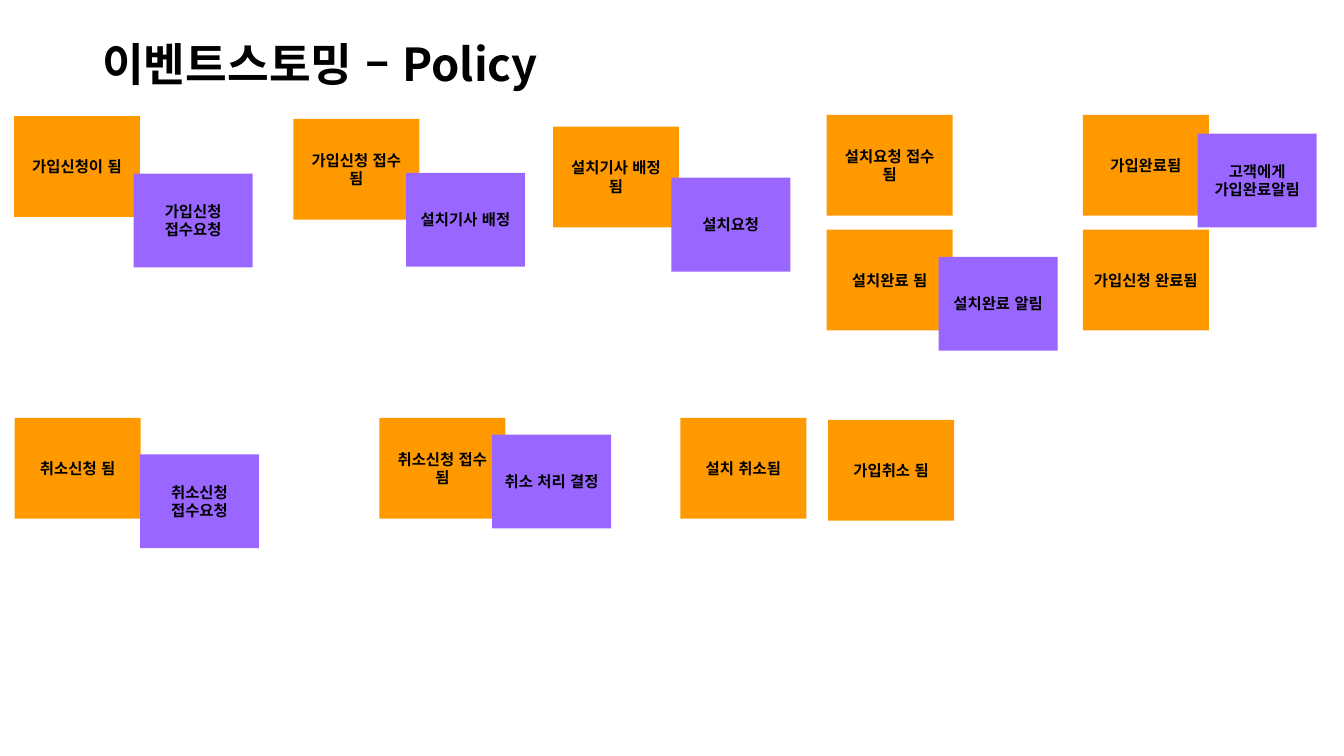
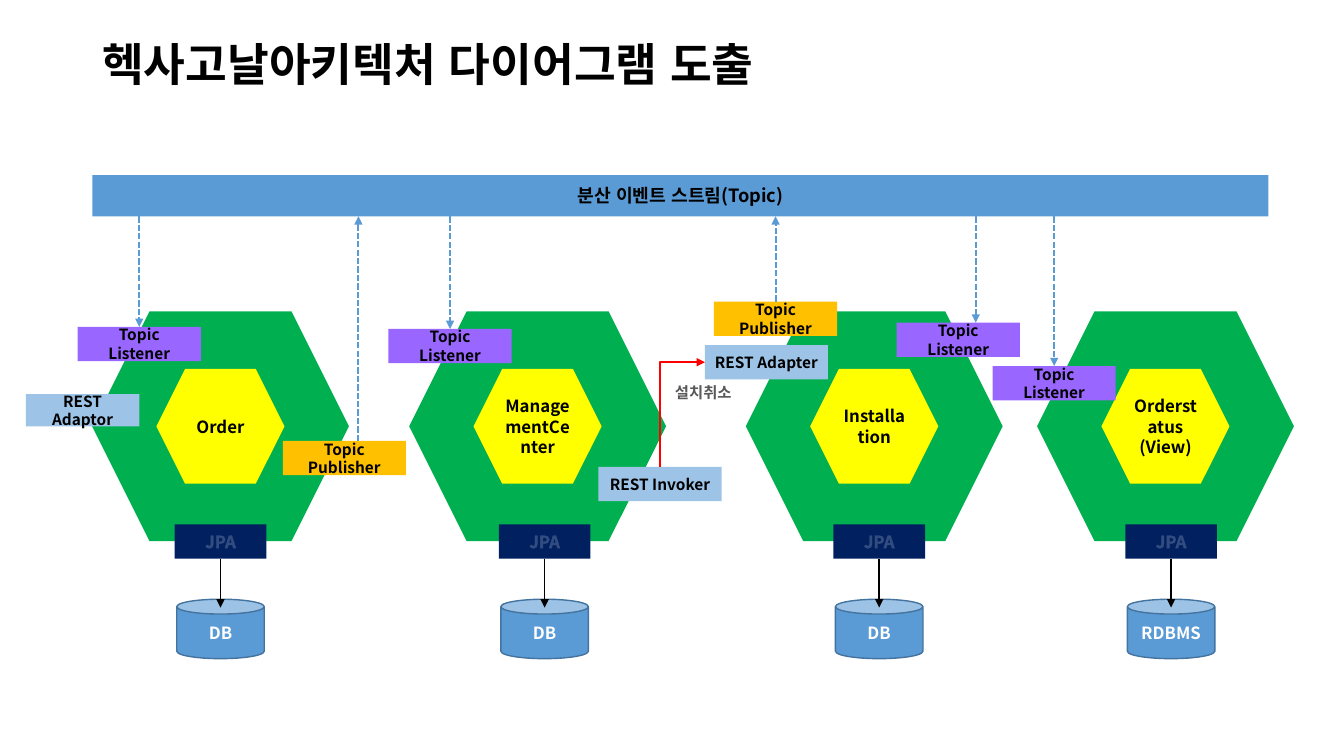
import dataclasses

import lxml.etree
import pptx
import pptx.dml.color
import pptx.enum.dml
import pptx.enum.lang
import pptx.enum.shapes
import pptx.enum.text
import pptx.oxml.ns
import pptx.util

Pt = pptx.util.Pt
SHAPE = pptx.enum.shapes.MSO_SHAPE
CONNECTOR = pptx.enum.shapes.MSO_CONNECTOR
ALIGN = pptx.enum.text.PP_ALIGN
ANCHOR = pptx.enum.text.MSO_ANCHOR
KOREAN = pptx.enum.lang.MSO_LANGUAGE_ID.KOREAN
qn = pptx.oxml.ns.qn


@dataclasses.dataclass(frozen=True)
class Theme:
    font: str = "Noto Sans CJK KR"
    black: str = "000000"
    white: str = "FFFFFF"
    grey: str = "595959"
    event: str = "FF9900"
    policy: str = "9966FF"
    publisher: str = "FFC000"
    rest: str = "9DC3E6"
    stream: str = "5B9BD5"
    store_edge: str = "43739E"
    service: str = "00B050"
    core: str = "FFFF00"
    jpa: str = "002060"
    call: str = "FF0000"
    title_size: float = 32.4
    stream_size: float = 13
    core_size: float = 12
    note_size: float = 11


THEME = Theme()

EVENT_SIZE = (90, 72)
EVENTS = [
    ("가입신청이 됨", 10, 83),
    ("가입신청 접수 됨", 209.5, 85),
    ("설치기사 배정 됨", 395, 90.5),
    ("설치요청 접수 됨", 590.5, 82),
    ("설치완료 됨", 590.5, 164),
    ("가입완료됨", 773.5, 82),
    ("가입신청 완료됨", 773.5, 164),
    ("취소신청 됨", 10.5, 298.5),
    ("취소신청 접수 됨", 271, 298.5),
    ("설치 취소됨", 486, 298.5),
    ("가입취소 됨", 591.5, 300),
]

POLICY_SIZE = (85, 67)
POLICIES = [
    ("가입신청 접수요청", 95.5, 124),
    ("설치기사 배정", 290, 123.5),
    ("설치요청", 479.5, 127),
    ("설치완료 알림", 670.5, 183.5),
    ("고객에게 가입완료알림", 855.5, 95.5),
    ("취소신청 접수요청", 100, 324.5),
    ("취소 처리 결정", 351.5, 310.5),
]

# service name, centre of the hexagons, database, centre of the database
SERVICES = [
    ("Order", 157.5, "DB", 157.5),
    ("ManagementCenter", 384, "DB", 389),
    ("Installation", 624.5, "DB", 628),
    ("Orderstatus\n(View)", 832.5, "RDBMS", 836.5),
]

STREAM_BOTTOM = 154.5
TAG_SIZE = (88, 24.5)
# left, top, and the x of the arrow (None: the middle of the tag)
LISTENERS = [(55.5, 233.5, None), (277.5, 235, None), (640.5, 230.5, 697), (709, 261.5, None)]
PUBLISHERS = [(202, 315, 256), (510, 215.5, None)]


def rgb(value):
    return pptx.dml.color.RGBColor.from_string(value)


def style_run(run, size, color, outlined):
    run.font.size = Pt(size)
    run.font.bold = True
    run.font.name = THEME.font
    run.font.language_id = KOREAN
    run.font.color.rgb = rgb(color)
    properties = run._r.get_or_add_rPr()
    lxml.etree.SubElement(properties, qn("a:ea")).set("typeface", THEME.font)
    if outlined:
        outline = lxml.etree.Element(qn("a:ln"))
        outline.set("w", str(Pt(0.75)))
        fill = lxml.etree.SubElement(outline, qn("a:solidFill"))
        tint = lxml.etree.SubElement(fill, qn("a:srgbClr"))
        tint.set("val", THEME.white)
        lxml.etree.SubElement(tint, qn("a:alpha")).set("val", "20000")
        properties.insert(0, outline)


def write(shape, text, size, color=THEME.black, align=ALIGN.CENTER,
          anchor=ANCHOR.MIDDLE, outlined=True, spacing=None):
    frame = shape.text_frame
    frame.word_wrap = True
    frame.vertical_anchor = anchor
    frame.text = text
    for para in frame.paragraphs:
        para.alignment = align
        para.line_spacing = spacing
        for run in para.runs:
            style_run(run, size, color, outlined)


def add_box(slide, kind, left, top, size, fill, edge=None):
    width, height = size
    box = slide.shapes.add_shape(kind, Pt(left), Pt(top), Pt(width), Pt(height))
    box.shadow.inherit = False
    box.fill.solid()
    box.fill.fore_color.rgb = rgb(fill)
    if edge:
        box.line.color.rgb = rgb(edge)
        box.line.width = Pt(1)
    else:
        box.line.fill.background()
    return box


def add_note(slide, text, left, top, size, fill):
    note = add_box(slide, SHAPE.RECTANGLE, left, top, size, fill)
    write(note, text, THEME.note_size)
    return note


def add_text(slide, text, left, top, width, height, size, **style):
    box = slide.shapes.add_textbox(Pt(left), Pt(top), Pt(width), Pt(height))
    write(box, text, size, align=ALIGN.LEFT, **style)


def add_arrow(slide, start, end, color, width, kind=CONNECTOR.STRAIGHT, dashed=False):
    points = [Pt(value) for value in (*start, *end)]
    arrow = slide.shapes.add_connector(kind, *points)
    arrow.line.color.rgb = rgb(color)
    arrow.line.width = Pt(width)
    if dashed:
        arrow.line.dash_style = pptx.enum.dml.MSO_LINE.SQUARE_DOT
    line = arrow.line._get_or_add_ln()
    lxml.etree.SubElement(line, qn("a:tailEnd")).set("type", "triangle")
    lxml.etree.SubElement(arrow._element.spPr, qn("a:effectLst"))
    return arrow


def add_corner_arrow(slide, source, target, color):
    """Go up from the top of source, then right to the left side of target."""
    arrow = add_arrow(slide, (0, 0), (0, 0), color, 1.5, CONNECTOR.ELBOW)
    arrow.begin_connect(source, 0)
    arrow.end_connect(target, 1)
    across = arrow.end_x - arrow.begin_x
    rise = arrow.begin_y - arrow.end_y
    middle_x = (arrow.begin_x + arrow.end_x) // 2
    middle_y = (arrow.begin_y + arrow.end_y) // 2
    arrow.left, arrow.top = middle_x - rise // 2, middle_y - across // 2
    arrow.width, arrow.height = rise, across
    properties = arrow._element.spPr
    frame = properties.find(qn("a:xfrm"))
    for name, value in (("rot", "5400000"), ("flipH", "1"), ("flipV", "1")):
        frame.set(name, value)
    properties.find(qn("a:prstGeom")).set("prst", "bentConnector2")


def add_titled_slide(deck, title):
    slide = deck.slides.add_slide(deck.slide_layouts[6])
    add_text(slide, title, 66, 29, 828, 38, THEME.title_size, spacing=0.9)
    return slide


def add_service(slide, name, center, database, store_center):
    """Draw a service hexagon with its core, its JPA adapter and its database."""
    add_box(slide, SHAPE.HEXAGON, center - 91.75, 222.5, (183.5, 164), THEME.service)
    core = add_box(slide, SHAPE.HEXAGON, center - 45.75, 263.5, (91.5, 82), THEME.core)
    write(core, name, THEME.core_size)

    store = add_box(slide, SHAPE.CAN, store_center - 31.25, 428, (62.5, 42.5),
                    THEME.stream, THEME.store_edge)
    write(store, database, THEME.core_size, THEME.white, outlined=False)
    jpa = add_box(slide, SHAPE.RECTANGLE, store_center - 32.75, 374.5, (65.5, 24.5), THEME.jpa)
    write(jpa, "JPA", THEME.core_size, THEME.white)
    link = add_arrow(slide, (store_center, 399), (store_center, 434), THEME.black, 1.25)
    link.begin_connect(jpa, 2)


def add_stream_tag(slide, text, left, top, arrow_x, fill, publishes):
    """Draw a tag and its dashed arrow to or from the event stream."""
    tag = add_note(slide, text, left, top, TAG_SIZE, fill)
    x = arrow_x or left + TAG_SIZE[0] / 2
    ends = [(x, STREAM_BOTTOM), (x, top)]
    if publishes:
        ends.reverse()
    arrow = add_arrow(slide, *ends, THEME.stream, 1.5, dashed=True)
    if arrow_x is None:
        connect = arrow.begin_connect if publishes else arrow.end_connect
        connect(tag, 0)


def build_policy_slide(deck):
    slide = add_titled_slide(deck, "이벤트스토밍 – Policy")
    for text, left, top in EVENTS:
        add_note(slide, text, left, top, EVENT_SIZE, THEME.event)
    for text, left, top in POLICIES:
        add_note(slide, text, left, top, POLICY_SIZE, THEME.policy)


def build_architecture_slide(deck):
    slide = add_titled_slide(deck, "헥사고날아키텍처 다이어그램 도출")
    stream = add_box(slide, SHAPE.RECTANGLE, 66, 125, (840, 29.5), THEME.stream)
    write(stream, "분산 이벤트 스트림(Topic)", THEME.stream_size)
    for service in SERVICES:
        add_service(slide, *service)

    add_note(slide, "REST Adaptor", 18.5, 281.5, (81, 23), THEME.rest)
    invoker = add_note(slide, "REST Invoker", 427.5, 333.5, TAG_SIZE, THEME.rest)
    adapter = add_note(slide, "REST Adapter", 503.5, 246.5, TAG_SIZE, THEME.rest)
    add_corner_arrow(slide, invoker, adapter, THEME.call)
    add_text(slide, "설치취소", 475, 270, 64, 51, THEME.note_size,
             color=THEME.grey, anchor=ANCHOR.TOP, outlined=False)

    for place in LISTENERS:
        add_stream_tag(slide, "Topic Listener", *place, THEME.policy, False)
    for place in PUBLISHERS:
        add_stream_tag(slide, "Topic Publisher", *place, THEME.publisher, True)


def main():
    deck = pptx.Presentation()
    deck.slide_width, deck.slide_height = Pt(960), Pt(540)
    build_policy_slide(deck)
    build_architecture_slide(deck)
    deck.save("out.pptx")


if __name__ == "__main__":
    main()
